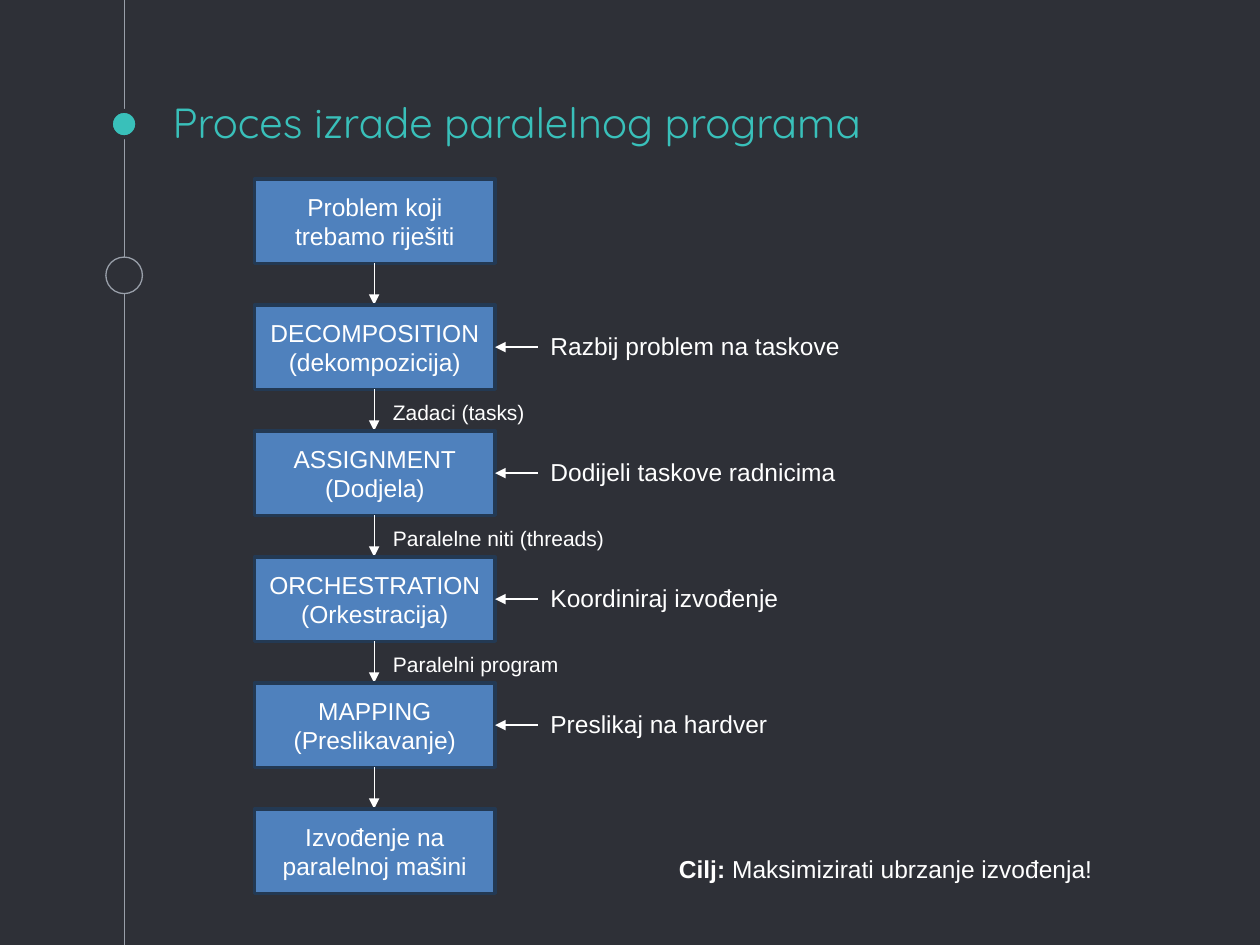
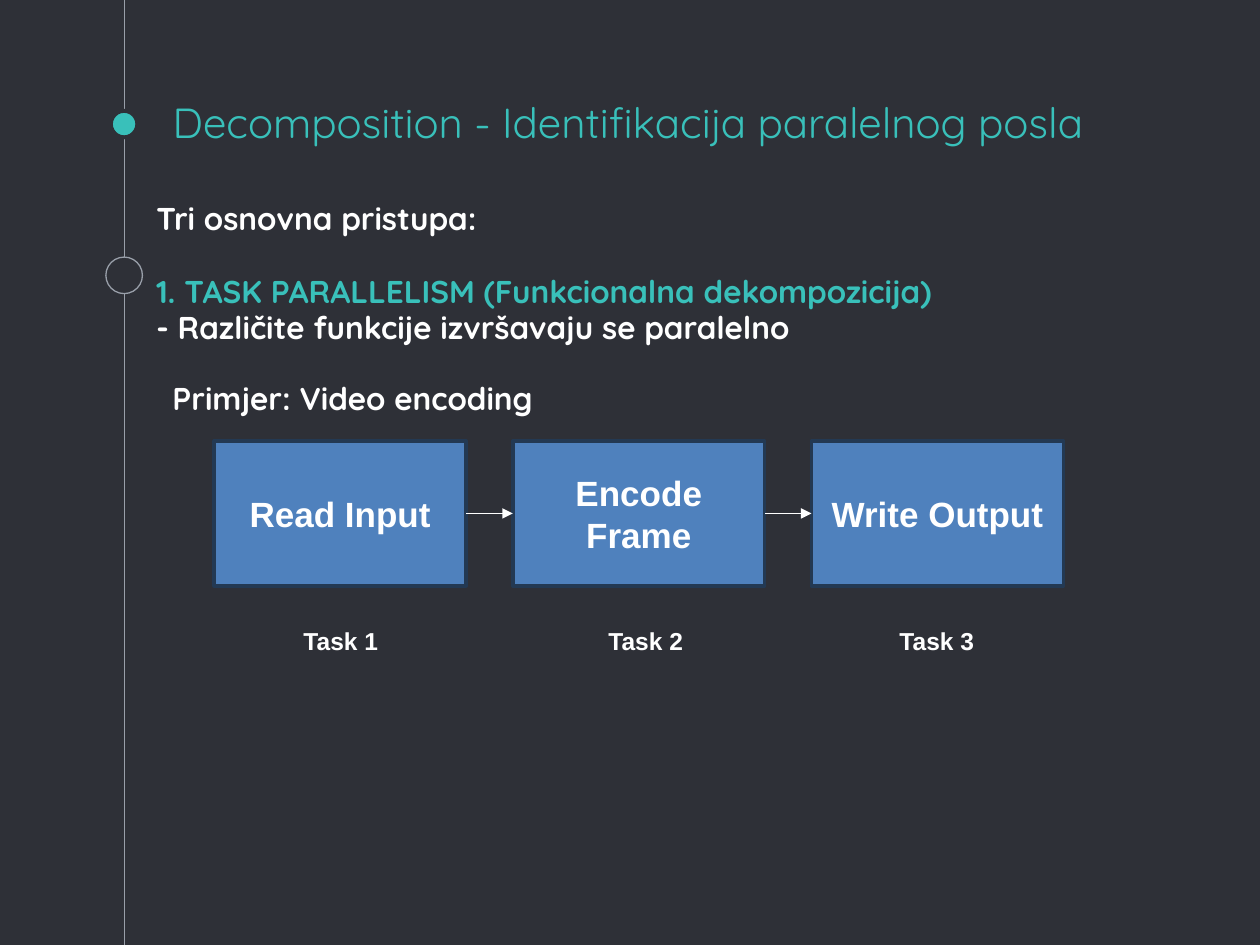
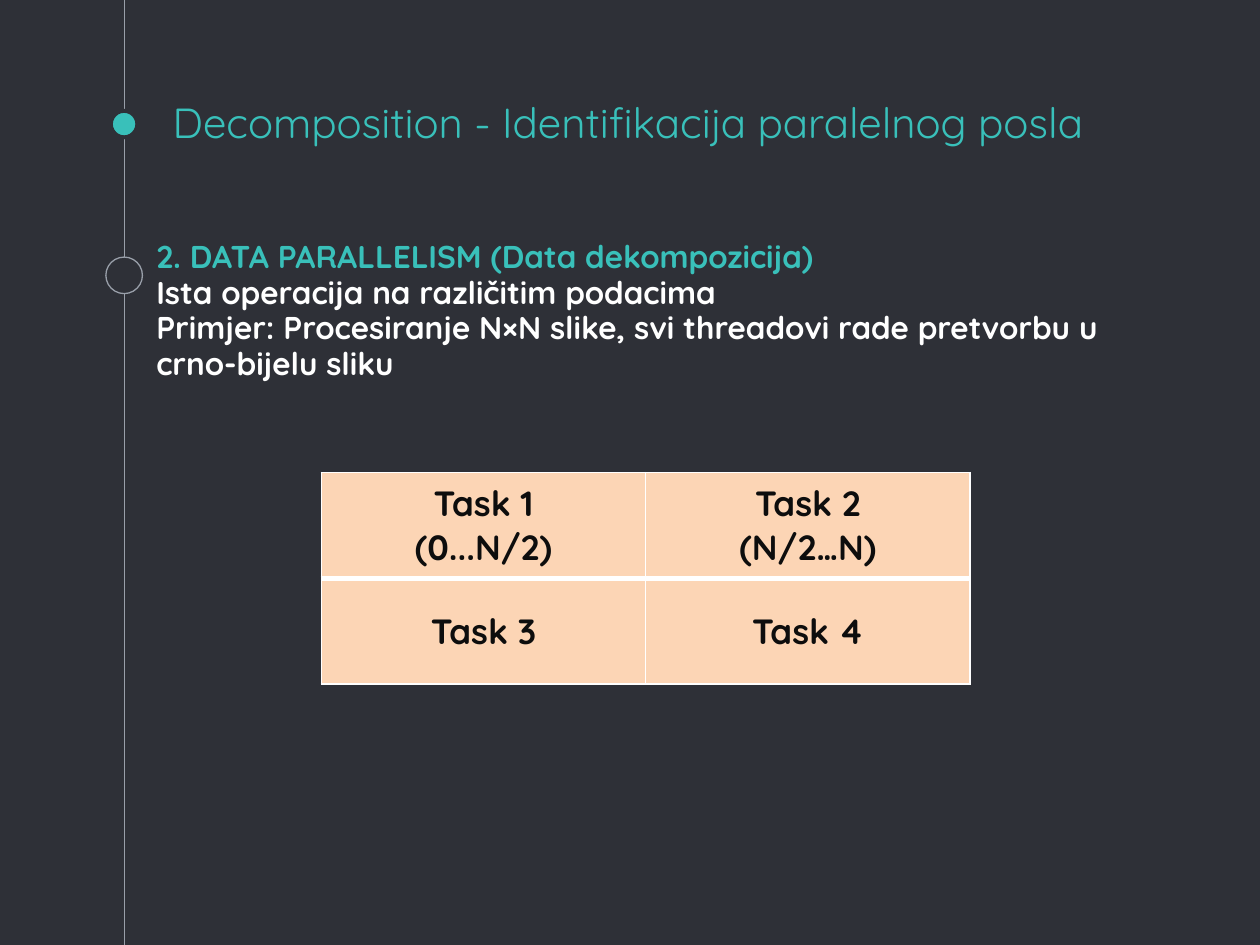
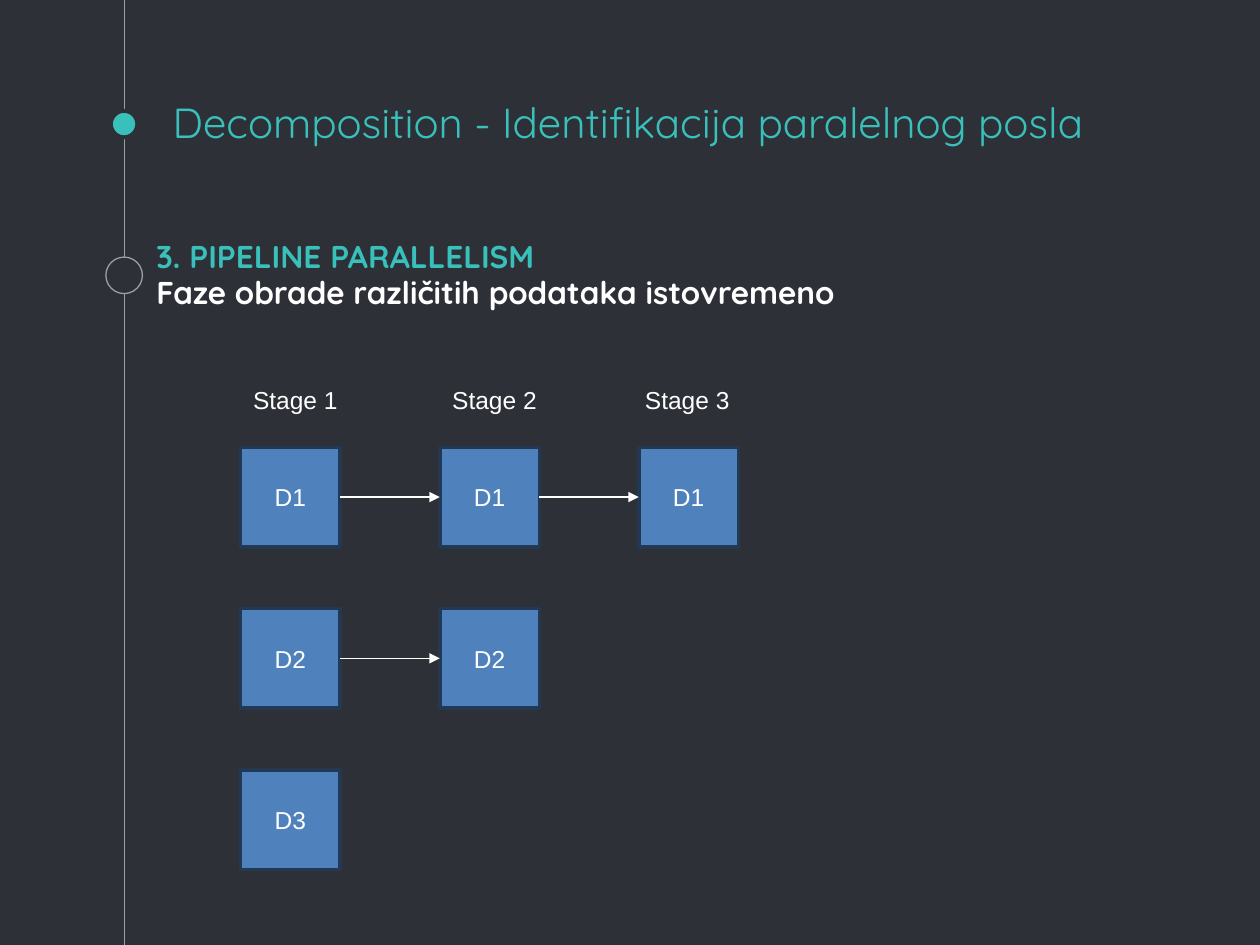
"""Build four slides on the design of parallel programs."""
from dataclasses import dataclass
from typing import NamedTuple

from lxml import etree
from pptx import Presentation
from pptx.dml.color import RGBColor
from pptx.enum.shapes import MSO_CONNECTOR, MSO_SHAPE
from pptx.enum.text import MSO_ANCHOR, MSO_AUTO_SIZE, PP_ALIGN
from pptx.oxml.ns import qn
from pptx.util import Inches, Pt

RECTANGLE = MSO_SHAPE.RECTANGLE
OVAL = MSO_SHAPE.OVAL
STRAIGHT = MSO_CONNECTOR.STRAIGHT
TOP, MIDDLE, BOTTOM = MSO_ANCHOR.TOP, MSO_ANCHOR.MIDDLE, MSO_ANCHOR.BOTTOM
LEFT, CENTER = PP_ALIGN.LEFT, PP_ALIGN.CENTER
NO_FIT, GROW = MSO_AUTO_SIZE.NONE, MSO_AUTO_SIZE.SHAPE_TO_FIT_TEXT


@dataclass(frozen=True)
class Theme:
    background: str = "2E3037"
    accent: str = "39C0BA"
    rail: str = "999FA9"
    white: str = "FFFFFF"
    box: str = "4F81BD"
    box_line: str = "233953"
    cell: str = "FCD5B5"
    cell_text: str = "0D0D0D"
    heading_font: str = "Quicksand"
    label_font: str = "Arial"
    title_size: float = 24
    large_size: float = 20
    body_size: float = 18
    label_size: float = 14
    small_size: float = 12
    thin: float = 0.75
    box_border: float = 2
    dot_border: float = 2.25


THEME = Theme()
DECOMPOSITION = "Decomposition - Identifikacija paralelnog posla"


class Area(NamedTuple):
    left: float
    top: float
    width: float
    height: float

    def inches(self) -> tuple:
        return tuple(Inches(length) for length in self)


class BodyLine(NamedTuple):
    text: str
    color: str = THEME.white
    space_before: float = 0


class Note(NamedTuple):
    text: str
    width: float


class Phase(NamedTuple):
    name: str
    action: Note | None = None
    result: Note | None = None


class Task(NamedTuple):
    name: str
    label: str
    label_left: float


PHASES = (
    Phase("Problem koji trebamo riješiti"),
    Phase("DECOMPOSITION (dekompozicija)",
          Note("Razbij problem na taskove", 2.51), Note("Zadaci (tasks)", 1.26)),
    Phase("ASSIGNMENT\n(Dodjela)",
          Note("Dodijeli taskove radnicima", 2.51), Note("Paralelne niti (threads)", 1.89)),
    Phase("ORCHESTRATION\n(Orkestracija)",
          Note("Koordiniraj izvođenje", 2.02), Note("Paralelni program", 1.52)),
    Phase("MAPPING\n(Preslikavanje)", Note("Preslikaj na hardver", 1.93)),
    Phase("Izvođenje na paralelnoj mašini"),
)
TASKS = (
    Task("Read Input", "Task 1", 2.31),
    Task("Encode Frame", "Task 2", 4.73),
    Task("Write Output", "Task 3", 7.04),
)
DATA_PARTS = (
    ("Task 1\n(0...N/2)", "Task 2\n(N/2…N)"),
    ("Task 3", "Task 4"),
)


def rgb(color: str) -> RGBColor:
    return RGBColor.from_string(color)


def add_run(paragraph, text: str, *, size: float = THEME.label_size,
            font: str = THEME.label_font, color: str = THEME.white,
            bold: bool = False, align=LEFT) -> None:
    paragraph.alignment = align
    run = paragraph.add_run()
    run.text = text
    run.font.size = Pt(size)
    run.font.name = font
    run.font.bold = bold
    run.font.color.rgb = rgb(color)


def write_lines(frame, text: str, **text_format) -> None:
    for index, line in enumerate(text.split("\n")):
        paragraph = frame.add_paragraph() if index else frame.paragraphs[0]
        add_run(paragraph, line, **text_format)


def add_shape(slide, kind, area: Area, fill: str, line: str, width: float):
    shape = slide.shapes.add_shape(kind, *area.inches())
    shape.shadow.inherit = False
    shape.fill.solid()
    shape.fill.fore_color.rgb = rgb(fill)
    shape.line.color.rgb = rgb(line)
    shape.line.width = Pt(width)
    return shape


def add_box(slide, area: Area, text: str, **text_format) -> None:
    shape = add_shape(slide, RECTANGLE, area, THEME.box, THEME.box_line, THEME.box_border)
    shape.text_frame.vertical_anchor = MIDDLE
    write_lines(shape.text_frame, text, align=CENTER, **text_format)


def add_label(slide, area: Area, text: str = "", **text_format):
    frame = slide.shapes.add_textbox(*area.inches()).text_frame
    frame.word_wrap = False
    frame.auto_size = GROW
    if text:
        write_lines(frame, text, **text_format)
    return frame


def add_line(slide, start: tuple[float, float], end: tuple[float, float],
             color: str = THEME.white, arrow: bool = True):
    points = (Inches(length) for length in (*start, *end))
    connector = slide.shapes.add_connector(STRAIGHT, *points)
    connector.line.color.rgb = rgb(color)
    connector.line.width = Pt(THEME.thin)
    properties = connector.element.spPr
    if arrow:
        etree.SubElement(properties.find(qn("a:ln")), qn("a:tailEnd"), type="triangle")
    etree.SubElement(properties, qn("a:effectLst"))
    return connector


def prepare_placeholder(placeholder, area: Area, anchor):
    placeholder.left, placeholder.top, placeholder.width, placeholder.height = area.inches()
    frame = placeholder.text_frame
    frame.auto_size = NO_FIT
    frame.word_wrap = True
    frame.vertical_anchor = anchor
    frame.margin_left = frame.margin_right = Inches(0.1)
    frame.margin_top = frame.margin_bottom = Inches(0.1)
    return frame


def add_slide(presentation, title: str, lines: tuple[BodyLine, ...] = (), body_top: float = 1.8):
    layout = presentation.slide_layouts[1 if lines else 5]
    slide = presentation.slides.add_slide(layout)
    frame = prepare_placeholder(slide.shapes.title, Area(1.27, 0.77, 7.5, 0.5), BOTTOM)
    write_lines(frame, title, size=THEME.title_size, font=THEME.heading_font, color=THEME.accent)
    if lines:
        area = Area(1.14, body_top, 7.98, 3.07 - body_top)
        frame = prepare_placeholder(slide.placeholders[1], area, TOP)
    for index, line in enumerate(lines):
        paragraph = frame.add_paragraph() if index else frame.paragraphs[0]
        properties = paragraph._p.get_or_add_pPr()
        properties.set("marL", "0")
        properties.set("indent", "0")
        etree.SubElement(properties, qn("a:buNone"))
        paragraph.line_spacing = 0.95
        paragraph.space_before = Pt(line.space_before)
        add_run(paragraph, line.text, size=THEME.body_size, font=THEME.heading_font,
                color=line.color, bold=True)
    return slide


def decorate_master(presentation, slide) -> None:
    master = presentation.slide_master
    master.background.fill.solid()
    master.background.fill.fore_color.rgb = rgb(THEME.background)
    decorations = (
        add_line(slide, (0.99, 0), (0.99, 7.5), color=THEME.rail, arrow=False),
        add_shape(slide, OVAL, Area(0.88, 0.88, 0.21, 0.21),
                  THEME.accent, THEME.background, THEME.dot_border),
        add_shape(slide, OVAL, Area(0.84, 2.04, 0.29, 0.29),
                  THEME.background, THEME.rail, THEME.thin),
    )
    for position, shape in enumerate(decorations, start=2):
        master.shapes.element.insert(position, shape.element)


def build_process(presentation) -> None:
    slide = add_slide(presentation, "Proces izrade paralelnog programa")
    decorate_master(presentation, slide)
    left, first_top, width, height, pitch = 2.02, 1.42, 1.91, 0.67, 1.0
    center, right = 2.97, left + width
    for index, phase in enumerate(PHASES):
        top = first_top + index * pitch
        bottom, middle = top + height, top + height / 2
        add_box(slide, Area(left, top, width, height), phase.name)
        if index < len(PHASES) - 1:
            add_line(slide, (center, bottom), (center, top + pitch))
        if phase.action:
            add_line(slide, (4.27, middle), (right, middle))
            add_label(slide, Area(4.27, top + 0.16, phase.action.width, 0.34), phase.action.text)
        if phase.result:
            add_label(slide, Area(3.02, bottom + 0.03, phase.result.width, 0.3),
                      phase.result.text, size=THEME.small_size)
    goal = add_label(slide, Area(5.29, 6.73, 3.5, 0.34)).paragraphs[0]
    add_run(goal, "Cilj:", bold=True)
    add_run(goal, " Maksimizirati ubrzanje izvođenja!")


def build_tasks(presentation) -> None:
    slide = add_slide(presentation, DECOMPOSITION, (
        BodyLine("Tri osnovna pristupa:"),
        BodyLine("1. TASK PARALLELISM (Funkcionalna dekompozicija)", THEME.accent, 21.5),
        BodyLine("- Različite funkcije izvršavaju se paralelno"),
    ), body_top=1.5)
    add_label(slide, Area(1.27, 2.96, 3.11, 0.4), "Primjer: Video encoding",
              size=THEME.body_size, font=THEME.heading_font, bold=True)
    first_left, top, width, height, pitch = 1.7, 3.5, 2, 1.15, 2.37
    middle = top + height / 2
    for index, task in enumerate(TASKS):
        left = first_left + index * pitch
        add_box(slide, Area(left, top, width, height), task.name,
                size=THEME.large_size, bold=True)
        add_label(slide, Area(task.label_left, 4.92, 0.81, 0.34), task.label, bold=True)
        if index:
            add_line(slide, (left - pitch + width, middle), (left, middle))


def set_borders(cell, **widths: float) -> None:
    properties = cell._tc.get_or_add_tcPr()
    for side in "LRTB":
        width = Pt(widths.get(side, 1))
        line = etree.SubElement(properties, qn(f"a:ln{side}"), w=str(width))
        fill = etree.SubElement(line, qn("a:solidFill"))
        etree.SubElement(fill, qn("a:srgbClr"), val=THEME.white)


def build_data(presentation) -> None:
    slide = add_slide(presentation, DECOMPOSITION, (
        BodyLine("2. DATA PARALLELISM (Data dekompozicija)", THEME.accent),
        BodyLine("Ista operacija na različitim podacima"),
        BodyLine("Primjer: Procesiranje N×N slike, svi threadovi rade pretvorbu u "
                 "crno-bijelu sliku"),
    ))
    area = Area(2.55, 3.75, 5.15, 1.68)
    table = slide.shapes.add_table(2, 2, *area.inches()).table
    for row_index, row in enumerate(DATA_PARTS):
        for column_index, text in enumerate(row):
            cell = table.cell(row_index, column_index)
            set_borders(cell, **({"T": 3} if row_index else {"B": 3}))
            cell.fill.solid()
            cell.fill.fore_color.rgb = rgb(THEME.cell)
            cell.vertical_anchor = MIDDLE
            write_lines(cell.text_frame, text, size=THEME.large_size, font=THEME.heading_font,
                        color=THEME.cell_text, bold=True, align=CENTER)


def build_pipeline(presentation) -> None:
    slide = add_slide(presentation, DECOMPOSITION, (
        BodyLine("3. PIPELINE PARALLELISM", THEME.accent),
        BodyLine("Faze obrade različitih podataka istovremeno"),
    ))
    for stage, left in enumerate((1.91, 3.49, 5.02), start=1):
        add_label(slide, Area(left, 3.01, 0.88, 0.34), f"Stage {stage}")
    side, column_pitch, row_pitch = 0.79, 1.58, 1.28
    for row in range(3):
        top = 3.55 + row * row_pitch
        middle = top + side / 2
        for column in range(3 - row):
            left = 1.91 + column * column_pitch
            add_box(slide, Area(left, top, side, side), f"D{row + 1}")
            if column:
                add_line(slide, (left - column_pitch + side, middle), (left, middle))


def main() -> None:
    presentation = Presentation()
    presentation.slide_width = Inches(10)
    presentation.slide_height = Inches(7.5)
    build_process(presentation)
    build_tasks(presentation)
    build_data(presentation)
    build_pipeline(presentation)
    presentation.save("out.pptx")


if __name__ == "__main__":
    main()
